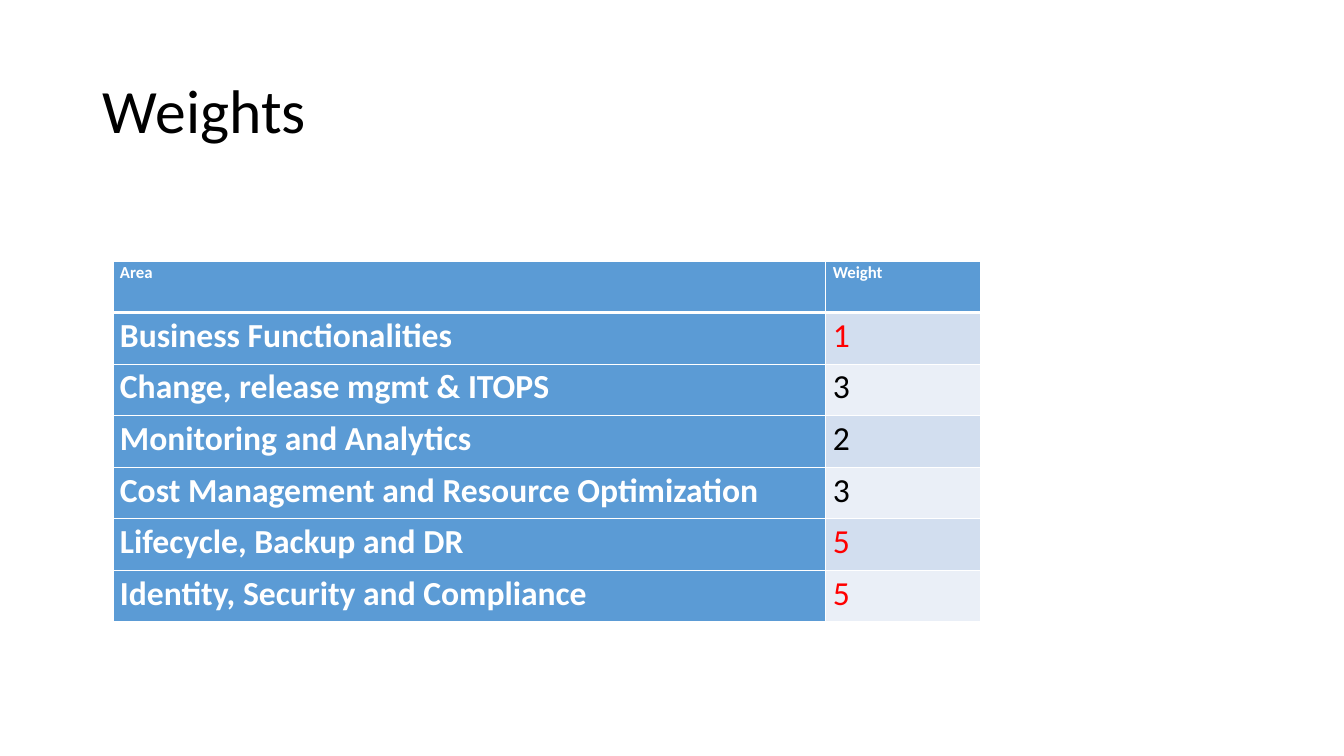
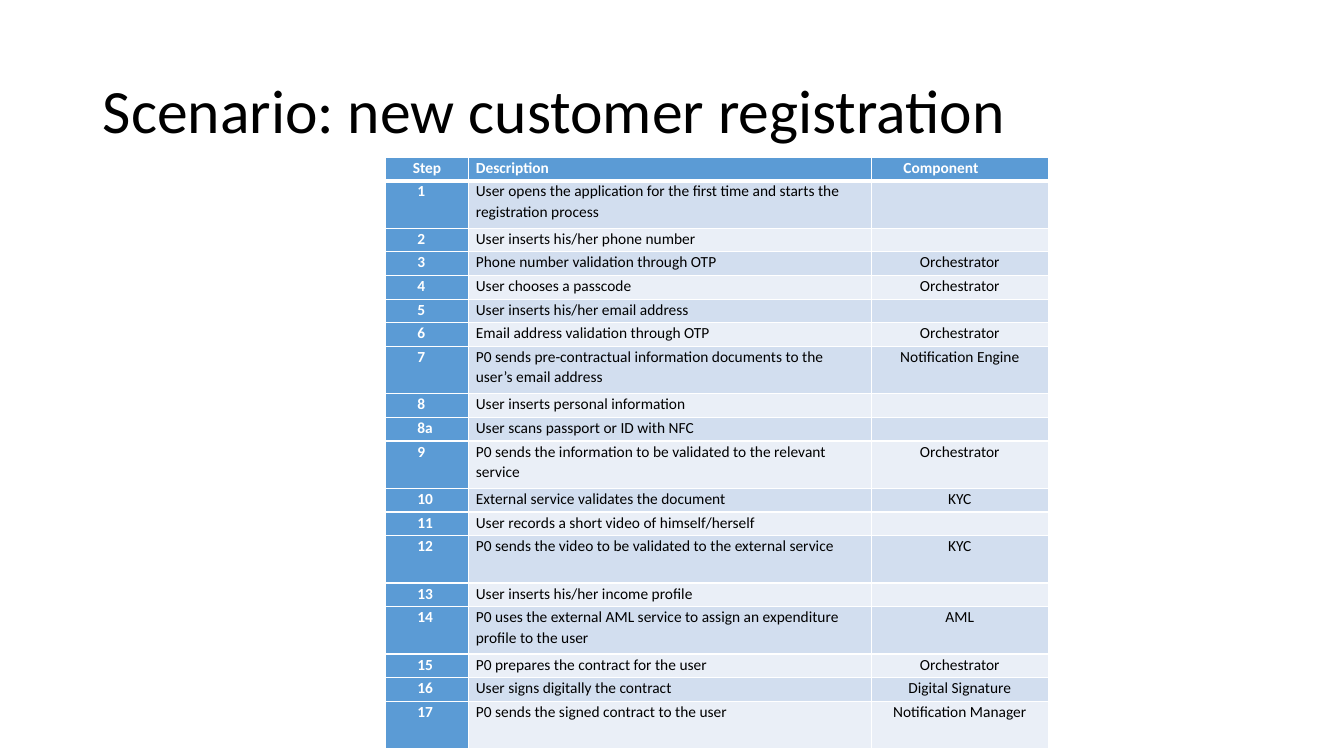
import pptx
import pptx.dml.color
import pptx.enum.text
import pptx.oxml
import pptx.oxml.ns
import pptx.util

Inches = pptx.util.Inches
Pt = pptx.util.Pt
RGBColor = pptx.dml.color.RGBColor
ALIGN = pptx.enum.text.PP_ALIGN

# Shared style
FONT = "Calibri"
WHITE = RGBColor(0xFF, 0xFF, 0xFF)
BLACK = RGBColor(0x00, 0x00, 0x00)
RED = RGBColor(0xFF, 0x00, 0x00)
BLUE = RGBColor(0x5B, 0x9B, 0xD5)
BANDS = [RGBColor(0xEA, 0xEF, 0xF7), RGBColor(0xD2, 0xDE, 0xEF)]
INDENT = Inches(0.25)

# Slide contents
WEIGHTS = [
    ("Area", "Weight"),
    ("Business Functionalities", "1"),
    ("Change, release mgmt & ITOPS", "3"),
    ("Monitoring and Analytics", "2"),
    ("Cost Management and Resource Optimization", "3"),
    ("Lifecycle, Backup and DR", "5"),
    ("Identity, Security and Compliance", "5"),
]
RED_WEIGHTS = {"1", "5"}
STEPS = [
    ("Step", "Description", "Component"),
    ("1", "User opens the application for the first time and starts the registration process", ""),
    ("2", "User inserts his/her phone number", ""),
    ("3", "Phone number validation through OTP", "Orchestrator"),
    ("4", "User chooses a passcode", "Orchestrator"),
    ("5", "User inserts his/her email address", ""),
    ("6", "Email address validation through OTP", "Orchestrator"),
    ("7", "P0 sends pre-contractual information documents to the user’s email address",
     "Notification Engine"),
    ("8", "User inserts personal information", ""),
    ("8a", "User scans passport or ID with NFC", ""),
    ("9", "P0 sends the information to be validated to the relevant service", "Orchestrator"),
    ("10", "External service validates the document", "KYC"),
    ("11", "User records a short video of himself/herself", ""),
    ("12", "P0 sends the video to be validated to the external service", "KYC"),
    ("13", "User inserts his/her income profile", ""),
    ("14", "P0 uses the external AML service to assign an expenditure profile to the user", "AML"),
    ("15", "P0 prepares the contract for the user", "Orchestrator"),
    ("16", "User signs digitally the contract", "Digital Signature"),
    ("17", "P0 sends the signed contract to the user", "Notification Manager"),
]
TALL_STEPS = {"1", "7", "9", "12", "14", "17"}

deck = pptx.Presentation()
deck.slide_width = Inches(13.33)
deck.slide_height = Inches(7.5)


def add_table_page(title_text, rows, row_units, left, top, height, widths):
    """Add a titled slide with a banded table; row_units share out the height."""
    page = deck.slides.add_slide(deck.slide_layouts[5])
    title = page.shapes.title
    title.left, title.top = Inches(0.92), Inches(0.4)
    title.width, title.height = Inches(11.5), Inches(1.45)
    title.text_frame.auto_size = pptx.enum.text.MSO_AUTO_SIZE.NONE
    title.text_frame.vertical_anchor = pptx.enum.text.MSO_ANCHOR.MIDDLE
    para = title.text_frame.paragraphs[0]
    para.alignment = ALIGN.LEFT
    para.line_spacing = 0.9
    span = para.add_run()
    span.text = title_text
    span.font.name, span.font.size = FONT, Pt(44)
    span.font.color.rgb = BLACK

    table = page.shapes.add_table(len(rows), len(widths), Inches(left), Inches(top),
                                  Inches(sum(widths)), Inches(height)).table
    table.first_col = True
    for column, width in zip(table.columns, widths):
        column.width = Inches(width)
    for row, units in zip(table.rows, row_units):
        row.height = int(Inches(height) * units / sum(row_units))
    return table


def fill_cell(table, row, column, text, size, color, align, indent=0):
    """Style one cell: borders, fill, margins and text."""
    cell = table.cell(row, column)
    properties = cell._tc.get_or_add_tcPr()
    for side in "LRTB":
        heavy = (row, side) in {(0, "B"), (1, "T")}
        properties.append(pptx.oxml.parse_xml(
            f'<a:ln{side} {pptx.oxml.ns.nsdecls("a")} w="{Pt(3 if heavy else 1)}">'
            f'<a:solidFill><a:srgbClr val="{WHITE}"/></a:solidFill></a:ln{side}>'))
    accent = row == 0 or column == 0
    cell.fill.solid()
    cell.fill.fore_color.rgb = BLUE if accent else BANDS[row % 2]
    cell.margin_left = cell.margin_right = Inches(0.07)
    cell.margin_top = cell.margin_bottom = 0
    para = cell.text_frame.paragraphs[0]
    para.alignment = align
    para.line_spacing = 1.07
    if indent:
        para._p.get_or_add_pPr().set("marL", str(indent))
    if text:
        span = para.add_run()
        span.text = text
        span.font.name, span.font.size = FONT, Pt(size)
        span.font.bold = accent
        span.font.color.rgb = WHITE if accent else color
    else:
        # Keep an empty cell from stretching its row
        para._p.get_or_add_endParaRPr().set("sz", str(size * 100))


# Slide 1: weights
table = add_table_page("Weights", WEIGHTS, [1] * len(WEIGHTS), 1.12, 2.59, 3.58, [7.07, 1.54])
for row, texts in enumerate(WEIGHTS):
    for column, text in enumerate(texts):
        color = RED if text in RED_WEIGHTS else BLACK
        fill_cell(table, row, column, text, 24 if row else 12, color, ALIGN.JUSTIFY)

# Slide 2: registration steps
HEADER_FORMATS = [(ALIGN.CENTER, 0), (ALIGN.LEFT, 0), (ALIGN.LEFT, INDENT)]
STEP_FORMATS = [(ALIGN.JUSTIFY, INDENT), (ALIGN.LEFT, 0), (ALIGN.CENTER, 0)]
step_units = [2 if texts[0] in TALL_STEPS else 1 for texts in STEPS]
table = add_table_page("Scenario: new customer registration", STEPS, step_units,
                       3.82, 1.56, 5.87, [0.83, 3.99, 1.76])
for row, texts in enumerate(STEPS):
    formats = STEP_FORMATS if row else HEADER_FORMATS
    for column, (text, (align, indent)) in enumerate(zip(texts, formats)):
        fill_cell(table, row, column, text, 11, BLACK, align, indent)

deck.save("out.pptx")
